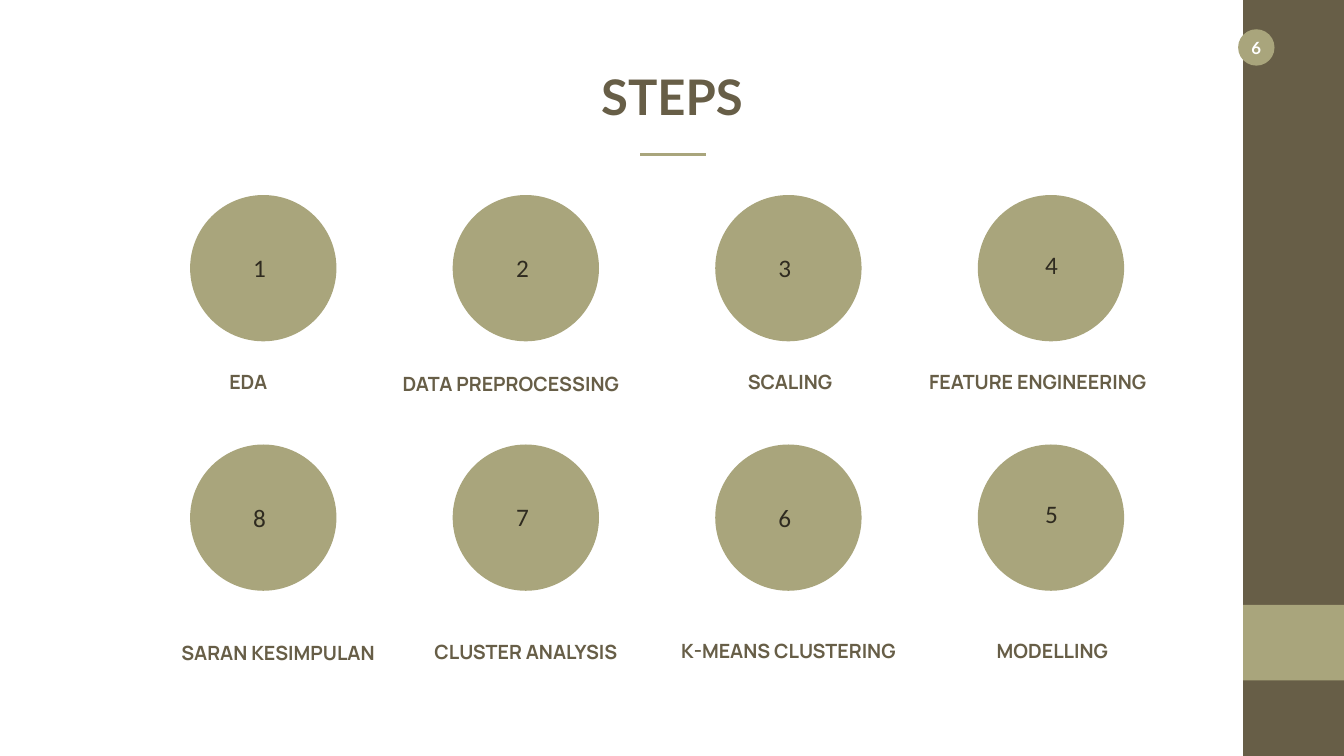
from collections import namedtuple

from lxml.etree import SubElement
from pptx import Presentation
from pptx.dml.color import RGBColor
from pptx.enum.shapes import MSO_CONNECTOR as Connector, MSO_SHAPE as Shape
from pptx.enum.text import MSO_ANCHOR as Anchor, MSO_AUTO_SIZE as AutoSize, PP_ALIGN as Align
from pptx.oxml.ns import qn
from pptx.util import Pt

BROWN = RGBColor(0x67, 0x5E, 0x47)
OLIVE = RGBColor(0xA9, 0xA5, 0x7C)
INK = RGBColor(0x2F, 0x2B, 0x20)
WHITE = RGBColor(0xFF, 0xFF, 0xFF)

SLIDE_WIDTH, SLIDE_HEIGHT = 1919.52, 1080
SIDEBAR_WIDTH = 144
CIRCLE = 209
LABEL_HEIGHT = 41
COLUMN_PITCH, ROW_PITCH = 375, 356.4

TITLE_FONT = {"name": "Lato", "size": Pt(70), "bold": True}
BADGE_FONT = {"name": "Lato", "size": Pt(24), "bold": True}
LABEL_FONT = {"name": "Manrope", "size": Pt(28), "bold": True}
NUMBER_FONT = {"name": "Calibri", "size": Pt(36), "bold": False}
LABEL_FRAME = {"word_wrap": False, "vertical_anchor": Anchor.MIDDLE}
NUMBER_FRAME = {"word_wrap": True, "vertical_anchor": Anchor.TOP}
TITLE_FRAME = {"word_wrap": False, "vertical_anchor": Anchor.TOP, "auto_size": AutoSize.NONE,
               "margin_left": Pt(7.2), "margin_right": Pt(7.2),
               "margin_top": Pt(3.6), "margin_bottom": Pt(3.6)}
BADGE_FRAME = {"word_wrap": False, "vertical_anchor": Anchor.MIDDLE, "margin_left": 0,
               "margin_right": 0, "margin_top": 0, "margin_bottom": 0}

Step = namedtuple("Step", "number label width shift drop")
STEP_ROWS = [
    (245.5, [Step("1", "EDA", 70, -21.5, 0),
             Step("2", "DATA PREPROCESSING", 325, -21.5, 2.9),
             Step("3", "SCALING", 136, 2.4, 0),
             Step("4", "FEATURE ENGINEERING", 339, -19, 0)]),
    (273.6, [Step("8", "SARAN KESIMPULAN", 300, 21, 3.6),
             Step("7", "CLUSTER ANALYSIS", 278, 0, 2.2),
             Step("6", "K-MEANS CLUSTERING", 323, 0, 0),
             Step("5", "MODELLING", 184, 2, 0)]),
]
NUMBER_OFFSETS = [(83, 79), (83.5, 78), (83, 79), (89, 74)]


def apply(target, values):
    """Set each named attribute on the target."""
    for name, value in values.items():
        setattr(target, name, value)


def write(frame, text, font, color, align, layout):
    """Write one formatted paragraph in a text frame."""
    apply(frame, layout)
    paragraph = frame.paragraphs[0]
    paragraph.alignment = align
    run = paragraph.add_run()
    run.text = text
    apply(run.font, font)
    run.font.color.rgb = color


def add_filled(slide, kind, left, top, width, height, color):
    """Add a plain filled shape without outline or shadow."""
    filled = slide.shapes.add_shape(kind, Pt(left), Pt(top), Pt(width), Pt(height))
    filled.shadow.inherit = False
    filled.fill.solid()
    filled.fill.fore_color.rgb = color
    filled.line.fill.background()
    return filled


def add_sidebar(slide, left, top, width, height):
    """Draw the side band with its accent block and page badge."""
    add_filled(slide, Shape.RECTANGLE, left, top, width, height, BROWN)
    add_filled(slide, Shape.RECTANGLE, left, top + 0.8 * height, width, 0.1 * height, OLIVE)
    badge = add_filled(slide, Shape.OVAL, left - 7.2, top + 41.8, 52, 52, OLIVE)
    write(badge.text_frame, "6", BADGE_FONT, WHITE, Align.CENTER, BADGE_FRAME)


def add_heading(slide, left, top, width, height):
    """Place the title and the short rule beneath it."""
    title = slide.shapes.title
    apply(title, {"left": Pt(left), "top": Pt(top), "width": Pt(width), "height": Pt(height)})
    write(title.text_frame, "STEPS", TITLE_FONT, BROWN, Align.CENTER, TITLE_FRAME)
    rule_left, rule_top = left + 64, top + 129
    rule = slide.shapes.add_connector(
        Connector.STRAIGHT, Pt(rule_left), Pt(rule_top), Pt(rule_left + 93.6), Pt(rule_top))
    rule.line.color.rgb = OLIVE
    rule.line.width = Pt(4.5)
    SubElement(rule.element.spPr, qn("a:effectLst"))


def add_step(slide, left, top, step, number_offset, label_offset):
    """Draw one numbered circle with its label below."""
    add_filled(slide, Shape.OVAL, left, top, CIRCLE, CIRCLE, OLIVE)
    number_left, number_top = number_offset
    number = slide.shapes.add_textbox(
        Pt(left + number_left), Pt(top + number_top), Pt(37.5), Pt(50.4))
    write(number.text_frame, step.number, NUMBER_FONT, INK, Align.LEFT, NUMBER_FRAME)
    label_left = left + (CIRCLE - step.width) / 2 + step.shift
    label = slide.shapes.add_textbox(
        Pt(label_left), Pt(top + label_offset + step.drop), Pt(step.width), Pt(LABEL_HEIGHT))
    write(label.text_frame, step.label, LABEL_FONT, BROWN, Align.CENTER, LABEL_FRAME)


def add_steps(slide, left, top):
    """Lay out all steps on a regular grid."""
    for row, (label_offset, steps) in enumerate(STEP_ROWS):
        for column, (step, number_offset) in enumerate(zip(steps, NUMBER_OFFSETS)):
            add_step(slide, left + column * COLUMN_PITCH, top + row * ROW_PITCH,
                     step, number_offset, label_offset)


def main():
    """Build and save the steps slide."""
    deck = Presentation()
    deck.slide_width, deck.slide_height = Pt(SLIDE_WIDTH), Pt(SLIDE_HEIGHT)
    slide = deck.slides.add_slide(deck.slide_layouts[5])
    slide.background.fill.solid()
    slide.background.fill.fore_color.rgb = WHITE
    add_sidebar(slide, SLIDE_WIDTH - SIDEBAR_WIDTH, 0, SIDEBAR_WIDTH, SLIDE_HEIGHT)
    add_heading(slide, 850.3, 91.4, 218.9, 91.4)
    add_steps(slide, 271.5, 278.6)
    deck.save("out.pptx")


if __name__ == "__main__":
    main()
